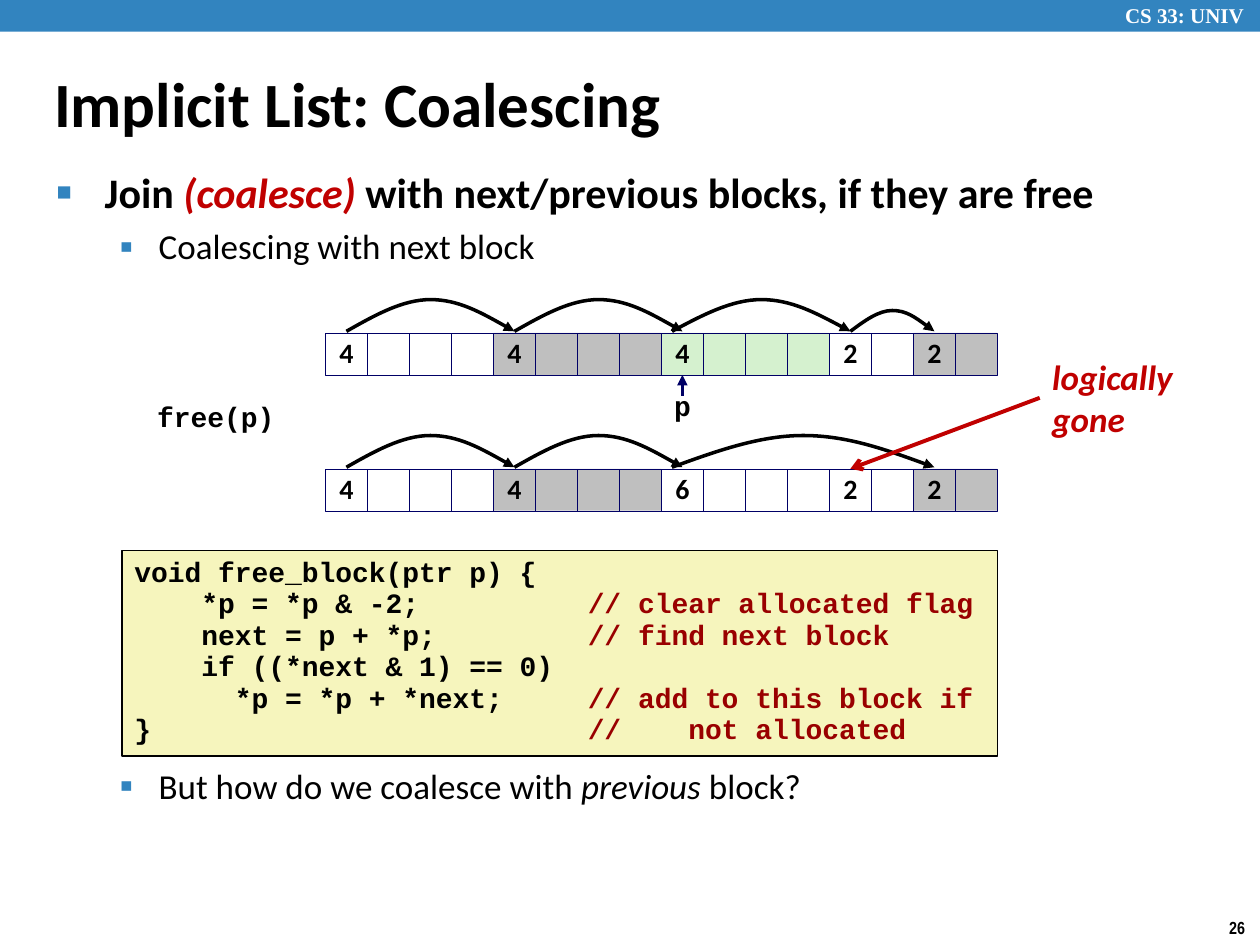
from dataclasses import dataclass

from lxml import etree
from pptx import Presentation
from pptx.dml.color import RGBColor
from pptx.enum.shapes import MSO_CONNECTOR, MSO_SHAPE
from pptx.enum.text import MSO_ANCHOR, PP_ALIGN
from pptx.oxml.ns import qn
from pptx.util import Cm, Pt

RECT = MSO_SHAPE.RECTANGLE
STRAIGHT = MSO_CONNECTOR.STRAIGHT
TOP, MIDDLE = MSO_ANCHOR.TOP, MSO_ANCHOR.MIDDLE
LEFT, CENTER = PP_ALIGN.LEFT, PP_ALIGN.CENTER

BLACK = RGBColor(0x00, 0x00, 0x00)
WHITE = RGBColor(0xFF, 0xFF, 0xFF)
BLUE = RGBColor(0x32, 0x84, 0xBF)
NAVY = RGBColor(0x00, 0x00, 0x66)
RED = RGBColor(0xC0, 0x00, 0x00)
MAROON = RGBColor(0x99, 0x00, 0x00)
GRAY = RGBColor(0xBF, 0xBF, 0xBF)
GREEN = RGBColor(0xD5, 0xF1, 0xCF)
CREAM = RGBColor(0xF6, 0xF5, 0xBD)

SANS, MONO = "Calibri", "Courier New"
CELL = 25.4 / 30  # cm, one word of the heap
ROW_LEFT = 6.56


@dataclass
class Run:
    text: str
    size: float = 16
    color: RGBColor = BLACK
    font: str = SANS
    bold: bool = True
    italic: bool = False


@dataclass
class Para:
    runs: list[Run]
    spacing: float = 1.0
    before: float = 0
    align: PP_ALIGN = LEFT


@dataclass
class Bullet:
    mark: str
    scale: int  # percent of the text size
    margin: float
    hang: float


@dataclass
class Block:
    size: int
    label: str
    fill: RGBColor


@dataclass
class Arc:
    start: int
    end: int
    shift: float = 0
    rise: float = 0.64


@dataclass
class Row:
    top: float
    blocks: list[Block]
    arcs: list[Arc]


def write(shape, paras: list[Para], wrap: bool = False, anchor=TOP) -> None:
    frame = shape.text_frame
    frame.word_wrap = wrap
    frame.vertical_anchor = anchor
    for i, item in enumerate(paras):
        para = frame.add_paragraph() if i else frame.paragraphs[0]
        para.alignment = item.align
        para.line_spacing = item.spacing
        para.space_before = Pt(item.before)
        for part in item.runs:
            run = para.add_run()
            run.text = part.text
            font = run.font
            font.name, font.size = part.font, Pt(part.size)
            font.bold, font.italic = part.bold, part.italic
            font.color.rgb = part.color


def add_text(slide, x: float, y: float, w: float, h: float,
             paras: list[Para], wrap: bool = False, anchor=TOP):
    box = slide.shapes.add_textbox(Cm(x), Cm(y), Cm(w), Cm(h))
    write(box, paras, wrap, anchor)
    return box


def add_rect(slide, x: float, y: float, w: float, h: float,
             fill: RGBColor, line: RGBColor | None = None, width: float = 1):
    rect = slide.shapes.add_shape(RECT, Cm(x), Cm(y), Cm(w), Cm(h))
    rect.shadow.inherit = False
    rect.fill.solid()
    rect.fill.fore_color.rgb = fill
    if line is None:
        rect.line.fill.background()
    else:
        rect.line.color.rgb = line
        rect.line.width = Pt(width)
    return rect


def set_bullet(para, bullet: Bullet) -> None:
    props = para._p.get_or_add_pPr()
    props.set("marL", str(Cm(bullet.margin)))
    props.set("indent", str(-Cm(bullet.hang)))
    color = etree.SubElement(props, qn("a:buClr"))
    etree.SubElement(color, qn("a:srgbClr"), val=str(BLUE))
    etree.SubElement(props, qn("a:buSzPct"), val=str(bullet.scale * 1000))
    etree.SubElement(props, qn("a:buFont"), typeface="Arial")
    etree.SubElement(props, qn("a:buChar"), char=bullet.mark)


def set_tab(para, pos: float) -> None:
    tabs = etree.SubElement(para._p.get_or_add_pPr(), qn("a:tabLst"))
    etree.SubElement(tabs, qn("a:tab"), pos=str(Cm(pos)), algn="l")


def style_arrow(shape, color: RGBColor, width: float, head: str) -> None:
    shape.line.color.rgb = color
    shape.line.width = Pt(width)
    line = shape._element.spPr.find(qn("a:ln"))
    etree.SubElement(line, qn("a:tailEnd"), type=head)


def add_line(slide, x1: float, y1: float, x2: float, y2: float,
             color: RGBColor, width: float, head: str):
    line = slide.shapes.add_connector(STRAIGHT, Cm(x1), Cm(y1), Cm(x2), Cm(y2))
    style_arrow(line, color, width, head)
    etree.SubElement(line._element.spPr, qn("a:effectLst"))
    return line


def add_arc(slide, arc: Arc, base: float) -> None:
    x1 = ROW_LEFT + (arc.start + 0.5) * CELL + arc.shift
    span = ROW_LEFT + (arc.end + 0.5) * CELL - x1
    points = [(Cm(x1 + span * i / 6), Cm(base - arc.rise * up))
              for i, up in enumerate((0, 0.5, 1, 1, 1, 0.5, 0))]
    form = slide.shapes.build_freeform(*points[0], scale=1.0)
    form.add_line_segments(points[1:], close=False)
    curve = form.convert_to_shape()
    curve.shadow.inherit = False
    curve.fill.background()
    # Turn each three points into one Bezier segment
    steps = list(curve._element.iter(qn("a:lnTo")))
    trace = steps[0].getparent()
    for i in range(0, len(steps), 3):
        bend = etree.SubElement(trace, qn("a:cubicBezTo"))
        for step in steps[i:i + 3]:
            bend.append(step[0])
            trace.remove(step)
    style_arrow(curve, BLACK, 2, "triangle")


def add_row(slide, row: Row) -> list:
    cells = []
    for block in row.blocks:
        for i in range(block.size):
            x = ROW_LEFT + len(cells) * CELL
            cell = add_rect(slide, x, row.top, CELL, CELL, block.fill, NAVY, 0.25)
            if i == 0:
                write(cell, [Para([Run(block.label)], 0.98, align=CENTER)],
                      anchor=MIDDLE)
            cells.append(cell)
    for arc in row.arcs:
        add_arc(slide, arc, row.top - 0.03)
    return cells


HEAD = [Block(4, "4", WHITE), Block(4, "4", GRAY)]
TAIL = [Block(2, "2", WHITE), Block(2, "2", GRAY)]
HOPS = [Arc(0, 4), Arc(4, 8)]
BEFORE = Row(6.71, HEAD + [Block(4, "4", GREEN)] + TAIL,
             HOPS + [Arc(8, 12, -0.21), Arc(12, 14, 0, 0.42)])
AFTER = Row(9.45, HEAD + [Block(4, "6", WHITE)] + TAIL,
            HOPS + [Arc(8, 14, -0.21)])

MAIN = Bullet("■", 60, 0.97, 0.97)
SUB = Bullet("▪", 110, 2.06, 0.79)

CODE = [
    ("void free_block(ptr p) {", ""),
    ("    *p = *p & -2;", "// clear allocated flag"),
    ("    next = p + *p;", "// find next block"),
    ("    if ((*next & 1) == 0)", ""),
    ("      *p = *p + *next;", "// add to this block if"),
    ("}", "//    not allocated"),
]


def main() -> None:
    deck = Presentation()
    deck.slide_width, deck.slide_height = Cm(25.4), Cm(19.05)
    slide = deck.slides.add_slide(deck.slide_layouts[6])

    # Banner, page number and title
    add_rect(slide, 0, 0, 25.4, 0.64, BLUE)
    add_text(slide, 22.43, -0.08, 2.97, 0.76,
             [Para([Run("CS 33: UNIV", 12, WHITE, "Times New Roman")])])
    add_text(slide, 24.53, 18.36, 0.87, 0.69,
             [Para([Run("26", 10, font="Arial Narrow")])])
    add_text(slide, 0.84, 1.27, 18.8, 1.6,
             [Para([Run("Implicit List: Coalescing", 36)])], True, MIDDLE)

    # Bullets
    lead = add_text(slide, 0.89, 3.4, 23.09, 2.2, [
        Para([Run("Join ", 24), Run("(coalesce) ", 24, RED, italic=True),
              Run("with next/previous blocks, if they are free", 24)], 0.83),
        Para([Run("Coalescing with next block", 20, bold=False)], 0.88, 7.5),
    ], True)
    last = add_text(slide, 0.89, 15.39, 23.09, 1.1, [
        Para([Run("But how do we coalesce with ", 20, bold=False),
              Run("previous", 20, bold=False, italic=True),
              Run(" block?", 20, bold=False)], 0.88),
    ], True)
    paras = lead.text_frame.paragraphs + last.text_frame.paragraphs
    for para, bullet in zip(paras, (MAIN, SUB, SUB)):
        set_bullet(para, bullet)

    # Code, with the comments on a tab stop
    code = add_rect(slide, 2.46, 11.1, 17.65, 4.14, CREAM, BLACK)
    write(code, [Para([Run(text, font=MONO)]
                      + ([Run("\t" + note, 16, MAROON, MONO)] if note else []), 0.94)
                 for text, note in CODE], True)
    for para in code.text_frame.paragraphs:
        set_tab(para, 9.14)

    # Heap before and after the call
    old = add_row(slide, BEFORE)
    new = add_row(slide, AFTER)
    add_text(slide, 2.92, 7.98, 2.9, 0.91, [Para([Run("free(p)", font=MONO)], 0.94)])
    add_text(slide, 13.34, 7.77, 0.84, 0.91, [Para([Run("p", font=MONO)], 0.94)])
    mid = ROW_LEFT + 8.5 * CELL
    link = add_line(slide, mid, 7.98, mid, 7.56, NAVY, 2, "triangle")
    link.end_connect(old[8], 2)

    # Note on the merged block
    gone = add_text(slide, 20.96, 7.04, 2.95, 1.96, [
        Para([Run(word, 20, RED, italic=True)]) for word in ("logically", "gone")])
    link = add_line(slide, 20.96, 8.02, 17.15, 9.45, RED, 2.25, "arrow")
    link.begin_connect(gone, 1)
    link.end_connect(new[12], 0)

    deck.save("out.pptx")


if __name__ == "__main__":
    main()
